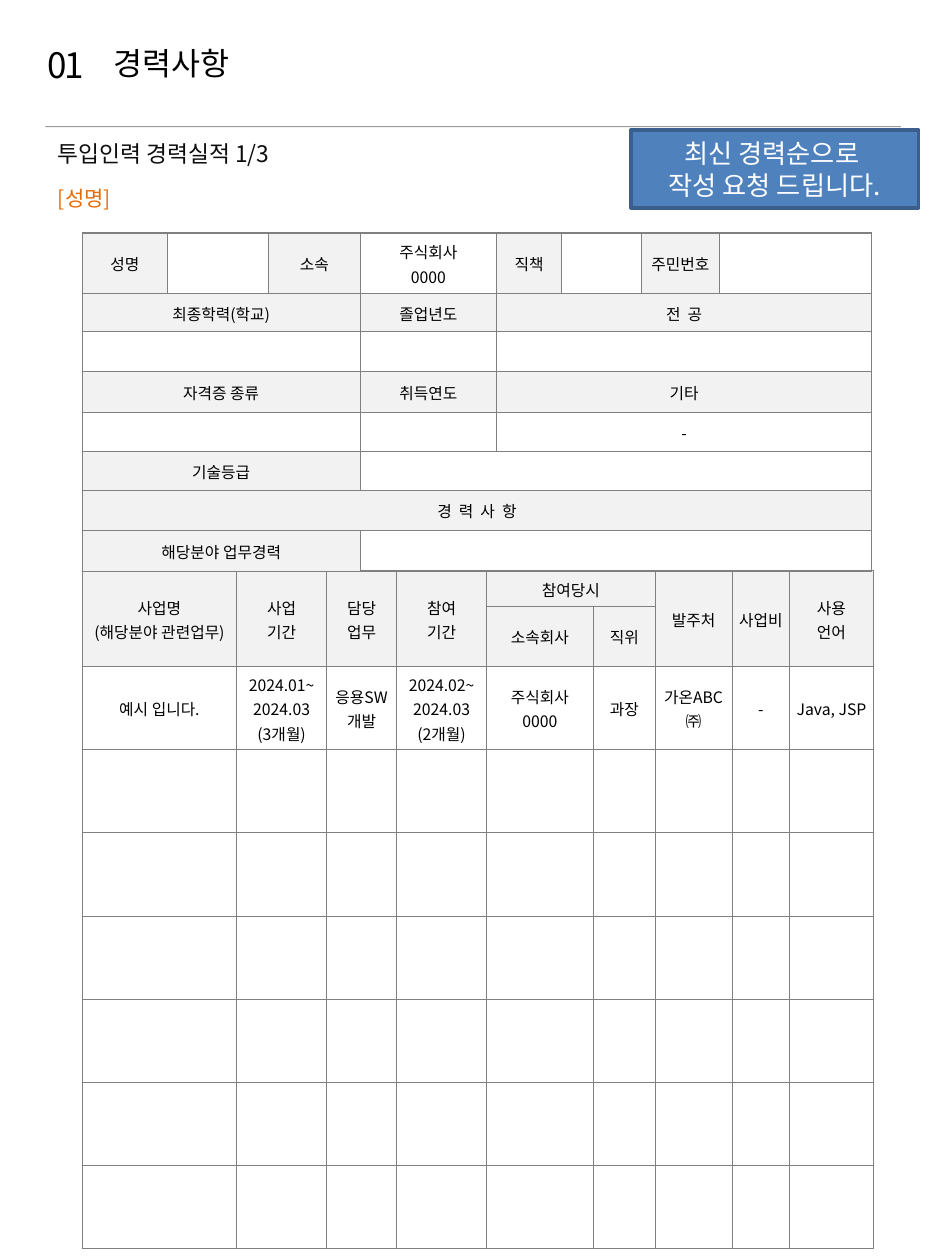
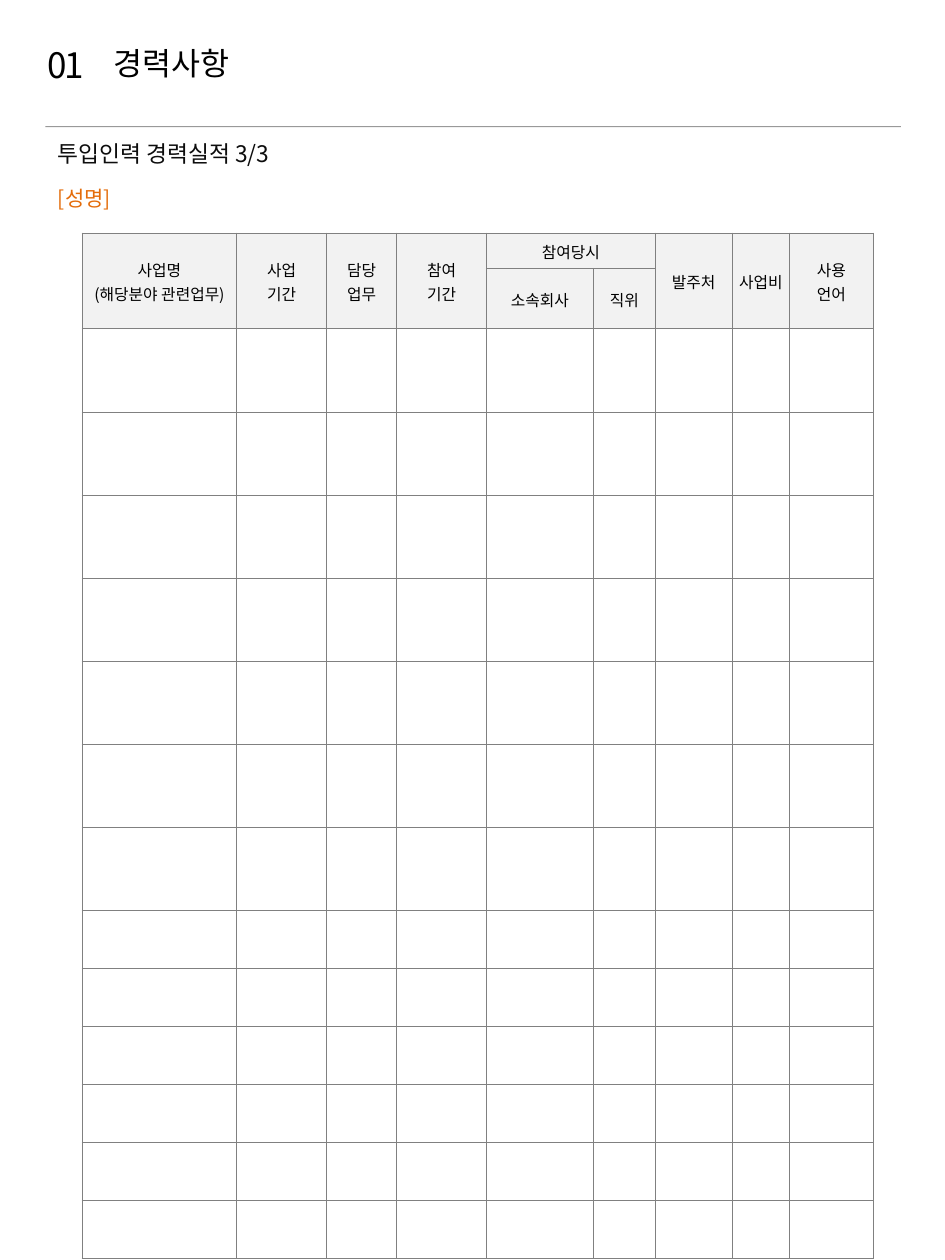
"""Build the two-page career record form for project staff."""
from dataclasses import dataclass

from lxml import etree
from pptx import Presentation
from pptx import util as u
from pptx.dml.color import RGBColor
from pptx.enum import shapes, text
from pptx.oxml import ns


@dataclass(frozen=True)
class Theme:
    font: str = "Noto Sans CJK KR"
    black: str = "000000"
    heading: str = "0D0D0D"
    accent: str = "E46C0A"
    white: str = "FFFFFF"
    grid: str = "808080"
    label: str = "F2F2F2"
    callout: str = "4F81BD"
    callout_edge: str = "3A5F8C"
    number_size: int = 20
    title_size: int = 18
    callout_size: int = 15
    heading_size: int = 13
    name_size: int = 12
    cell_size: int = 9


@dataclass(frozen=True)
class Entry:
    content: str = ""
    columns: int = 1
    rows: int = 1
    label: bool = False


def label(content, columns=1, rows=1):
    """Return a shaded heading entry."""
    return Entry(content, columns, rows, True)


THEME = Theme()
NUMBER, TITLE, NAME = "01", "경력사항", "[성명]"
HEADINGS = ("투입인력 경력실적 1/3", "투입인력 경력실적 3/3")
CALLOUT = "최신 경력순으로 \n작성 요청 드립니다."

PROFILE = [
    [label("성명"), Entry(), label("소속"), Entry("주식회사\n0000"),
     label("직책"), Entry(), label("주민번호"), Entry()],
    [label("최종학력(학교)", 3), label("졸업년도"), label("전  공", 4)],
    [Entry(columns=3), Entry(), Entry(columns=4)],
    [label("자격증 종류", 3), label("취득연도"), label("기타", 4)],
    [Entry(columns=3), Entry(), Entry("-", 4)],
    [label("기술등급", 3), Entry(columns=5)],
    [label("경  력  사  항", 8)],
    [label("해당분야 업무경력", 3), Entry(columns=5)],
]
PROJECT_HEADER = [
    [label("사업명\n(해당분야 관련업무)", rows=2), label("사업\n기간", rows=2),
     label("담당\n업무", rows=2), label("참여\n기간", rows=2),
     label("참여당시", 2), label("발주처", rows=2),
     label("사업비", rows=2), label("사용\n언어", rows=2)],
    [label("소속회사"), label("직위")],
]
EXAMPLE = [Entry(content) for content in (
    "예시 입니다.", "2024.01~\n2024.03\n(3개월)", "응용SW\n개발",
    "2024.02~\n2024.03\n(2개월)", "주식회사\n0000", "과장", "가온ABC㈜",
    "-", "Java, JSP")]

WIDTH, HEIGHT = 7.5, 10
MARGIN, CONTENT_WIDTH = 0.36, 6.79
TABLE_LEFT, TABLE_TOP, PROJECT_TOP = 0.65, 1.85, 4.53
PROFILE_COLUMNS = [0.68, 0.8, 0.73, 1.08, 0.52, 0.63, 0.62, 1.21]
PROFILE_ROWS = [0.48, 0.3, 0.32, 0.32, 0.31, 0.31, 0.32, 0.33]
PROJECT_COLUMNS = [1.23, 0.71, 0.56, 0.71, 0.85, 0.49, 0.61, 0.46, 0.66]
HEADER_ROWS = [0.28, 0.48]
TALL_ROW, SHORT_ROW = 0.66, 0.46


def color(value):
    """Return a colour from its hex code."""
    return RGBColor.from_string(value)


def inches(*lengths):
    """Return the lengths in slide units."""
    return [u.Inches(length) for length in lengths]


def write(frame, content, size, ink, align=None, spacing=None, tracking=None):
    """Fill a text frame with one paragraph per line."""
    for index, line in enumerate(content.split("\n")):
        paragraph = frame.add_paragraph() if index else frame.paragraphs[0]
        paragraph.alignment = align
        paragraph.line_spacing = spacing
        run = paragraph.add_run()
        run.text = line
        run.font.size = u.Pt(size)
        run.font.name = THEME.font
        run.font.color.rgb = color(ink)
        properties = run.font._element
        etree.SubElement(properties, ns.qn("a:ea")).set("typeface", THEME.font)
        if tracking:
            properties.set("spc", str(tracking))


def place(shape, left, top, width, height):
    """Move a shape to a box given in inches."""
    shape.left, shape.top, shape.width, shape.height = inches(left, top, width, height)


def fill_placeholder(shape, box, content, size, ink, spacing=None):
    """Place and write a left-aligned placeholder without a bullet."""
    place(shape, *box)
    frame = shape.text_frame
    frame.auto_size = text.MSO_AUTO_SIZE.NONE
    frame.vertical_anchor = text.MSO_ANCHOR.MIDDLE
    write(frame, content, size, ink, text.PP_ALIGN.LEFT, spacing)
    properties = frame.paragraphs[0]._p.get_or_add_pPr()
    properties.set("marL", "0")
    properties.set("indent", "0")
    etree.SubElement(properties, ns.qn("a:buNone"))


def add_rectangle(slide, box, fill):
    """Add a flat rectangle without an outline."""
    shape = slide.shapes.add_shape(shapes.MSO_SHAPE.RECTANGLE, *inches(*box))
    shape.shadow.inherit = False
    shape.fill.solid()
    shape.fill.fore_color.rgb = color(fill)
    shape.line.fill.background()
    return shape


def add_page(presentation, heading):
    """Add a slide with the shared title band and headings."""
    slide = presentation.slides.add_slide(presentation.slide_layouts[3])
    rule = add_rectangle(slide, (MARGIN, 1, CONTENT_WIDTH, 0.01), THEME.grid)
    tint = rule._element.spPr.find(ns.qn("a:solidFill"))[0]
    etree.SubElement(tint, ns.qn("a:alpha")).set("val", "80000")
    number = slide.shapes.add_textbox(*inches(0.28, 0.3, 0.76, 0.43))
    write(number.text_frame, NUMBER, THEME.number_size, THEME.black, tracking=-130)
    title, first, second = slide.placeholders
    fill_placeholder(title, (0.8, 0.34, 2.38, 0.35), TITLE,
                     THEME.title_size, THEME.black, 0.9)
    fill_placeholder(first, (MARGIN, 1.04, CONTENT_WIDTH, 0.35), heading,
                     THEME.heading_size, THEME.heading)
    fill_placeholder(second, (MARGIN, 1.4, CONTENT_WIDTH, 0.35), NAME,
                     THEME.name_size, THEME.accent)
    return slide


def prepare_cell(cell, top_weight):
    """Give a cell its borders, margins and small empty text."""
    properties = cell._tc.get_or_add_tcPr()
    for side in "LRTB":
        weight = top_weight if side == "T" else 0.5
        line = etree.SubElement(properties, ns.qn(f"a:ln{side}"), w=str(u.Pt(weight)))
        fill = etree.SubElement(line, ns.qn("a:solidFill"))
        etree.SubElement(fill, ns.qn("a:srgbClr"), val=THEME.grid)
    cell.fill.background()
    cell.vertical_anchor = text.MSO_ANCHOR.MIDDLE
    cell.margin_left = cell.margin_right = u.Inches(0.04)
    cell.margin_top = cell.margin_bottom = u.Inches(0.04)
    ending = etree.SubElement(cell.text_frame.paragraphs[0]._p, ns.qn("a:endParaRPr"))
    ending.set("sz", str(THEME.cell_size * 100))


def add_form(slide, top, columns, rows, entries, top_weight=0.5):
    """Add a bordered table and lay its entries out from left to right."""
    box = inches(TABLE_LEFT, top, sum(columns), sum(rows))
    table = slide.shapes.add_table(len(rows), len(columns), *box).table
    table.first_row = table.horz_banding = False
    for column, width in zip(table.columns, columns):
        column.width = u.Inches(width)
    for index, (row, height) in enumerate(zip(table.rows, rows)):
        row.height = u.Inches(height)
        for cell in row.cells:
            prepare_cell(cell, 0.5 if index else top_weight)
    for row, line in enumerate(entries):
        column = 0
        for entry in line:
            while table.cell(row, column).is_spanned:
                column += 1
            cell = table.cell(row, column)
            if entry.columns * entry.rows > 1:
                cell.merge(table.cell(row + entry.rows - 1, column + entry.columns - 1))
            if entry.label:
                cell.fill.solid()
                cell.fill.fore_color.rgb = color(THEME.label)
            if entry.content:
                write(cell.text_frame, entry.content, THEME.cell_size, THEME.black,
                      text.PP_ALIGN.CENTER, 1.07)
            column += entry.columns


def add_callout(slide):
    """Add the blue request box at the top right."""
    shape = add_rectangle(slide, (5.01, 1.03, 2.28, 0.62), THEME.callout)
    shape.line.color.rgb = color(THEME.callout_edge)
    shape.line.width = u.Pt(2)
    shape.text_frame.vertical_anchor = text.MSO_ANCHOR.MIDDLE
    write(shape.text_frame, CALLOUT, THEME.callout_size, THEME.white,
          text.PP_ALIGN.CENTER)


def main():
    """Build and save both pages."""
    presentation = Presentation()
    presentation.slide_width, presentation.slide_height = inches(WIDTH, HEIGHT)
    first, last = [add_page(presentation, heading) for heading in HEADINGS]
    add_form(first, PROJECT_TOP, PROJECT_COLUMNS, HEADER_ROWS + [TALL_ROW] * 7,
             PROJECT_HEADER + [EXAMPLE])
    add_form(first, TABLE_TOP, PROFILE_COLUMNS, PROFILE_ROWS, PROFILE, top_weight=1)
    add_callout(first)
    add_form(last, TABLE_TOP, PROJECT_COLUMNS,
             HEADER_ROWS + [TALL_ROW] * 7 + [SHORT_ROW] * 6, PROJECT_HEADER)
    presentation.save("out.pptx")


if __name__ == "__main__":
    main()
